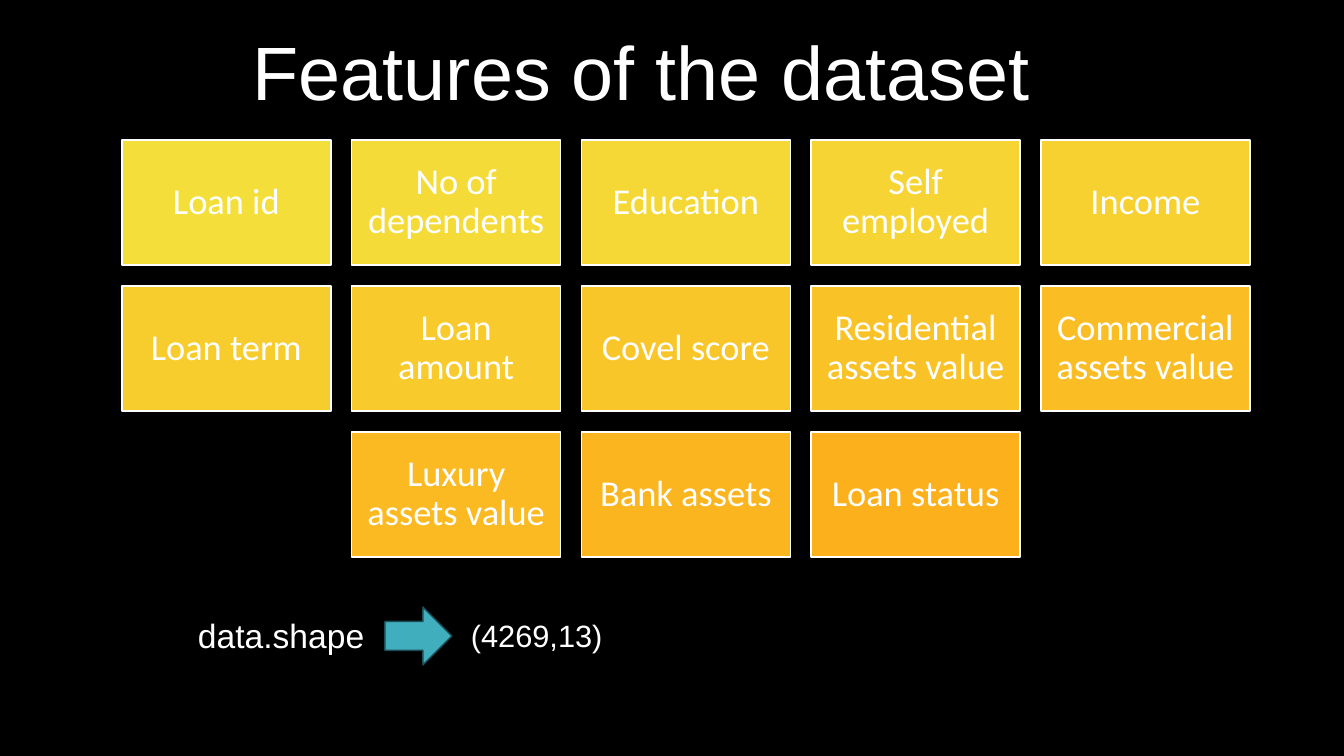
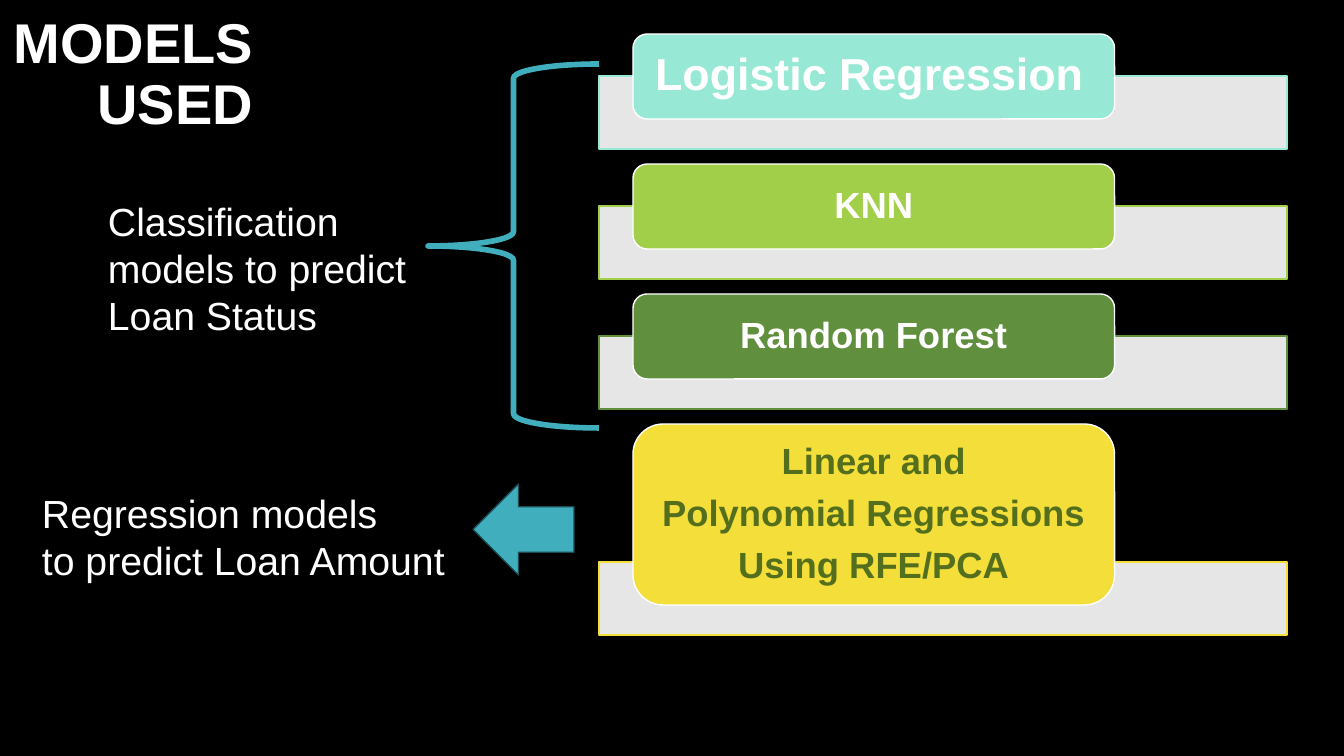
import colorsys
from dataclasses import dataclass

import pptx
import pptx.dml.color
import pptx.enum.shapes
import pptx.enum.text
import pptx.util

SLIDE_W, SLIDE_H = 1344, 756
EMU_PER_PX = 12192000 / SLIDE_W
SHAPE = pptx.enum.shapes.MSO_SHAPE
ALIGN = pptx.enum.text.PP_ALIGN
ANCHOR = pptx.enum.text.MSO_ANCHOR


@dataclass(frozen=True)
class Theme:
    background: str = "000000"
    text: str = "FFFFFF"
    outline: str = "FFFFFF"
    accent: str = "41AEBD"
    accent_edge: str = "1C4C53"
    bar: str = "E6E6E6"
    tile_first: str = "F4DE3A"
    tile_last: str = "FCB11C"
    mint: str = "97E9D5"
    lime: str = "A2CF49"
    green: str = "608F3D"
    yellow: str = "F4DE3A"
    olive: str = "536F1D"
    font: str = "Arial"
    tile_font: str = "Calibri"
    title: int = 54
    side_title: int = 40
    lead_card: int = 32
    note: int = 28
    card: int = 26
    code: int = 24
    result: int = 22
    line: int = 1
    brace_line: int = 4


THEME = Theme()

FEATURES = [
    ["Loan id", "No of dependents", "Education", "Self employed", "Income"],
    ["Loan term", "Loan amount", "Covel score", "Residential assets value",
     "Commercial assets value"],
    ["Luxury assets value", "Bank assets", "Loan status"],
]

# text, card height, fill, text colour, size, alignment
MODELS = [
    ("Logistic Regression", 85, THEME.mint, THEME.text, THEME.lead_card, ALIGN.LEFT),
    ("KNN", 85, THEME.lime, THEME.text, THEME.card, ALIGN.CENTER),
    ("Random Forest", 85, THEME.green, THEME.text, THEME.card, ALIGN.CENTER),
    ("Linear and\nPolynomial Regressions\nUsing RFE/PCA", 181, THEME.yellow,
     THEME.olive, THEME.card, ALIGN.CENTER),
]


def px(n):
    return pptx.util.Emu(round(n * EMU_PER_PX))


def rgb(color):
    return pptx.dml.color.RGBColor.from_string(color)


def blend(first, last, t):
    """Mix two colours along their hue, saturation and value."""
    ends = [colorsys.rgb_to_hsv(*(v / 255 for v in rgb(c))) for c in (first, last)]
    mixed = colorsys.hsv_to_rgb(*(a + (b - a) * t for a, b in zip(*ends)))
    return "".join(f"{round(v * 255):02X}" for v in mixed)


def write(sp, text, size, color=THEME.text, font=THEME.font, bold=False,
          align=ALIGN.LEFT, anchor=ANCHOR.TOP, spacing=1.0, after=0, insets=(10, 5)):
    tf = sp.text_frame
    tf.word_wrap = True
    tf.vertical_anchor = anchor
    tf.margin_left = tf.margin_right = px(insets[0])
    tf.margin_top = tf.margin_bottom = px(insets[1])
    tf.text = text
    for p in tf.paragraphs:
        p.alignment = align
        p.line_spacing = spacing
        p.font.size = pptx.util.Pt(size)
        p.font.name = font
        p.font.bold = bold
        p.font.color.rgb = rgb(color)
    for p in tf.paragraphs[:-1]:
        p.space_after = pptx.util.Pt(after)


def add_text(slide, box, text, size, **style):
    sp = slide.shapes.add_textbox(*map(px, box))
    write(sp, text, size, **style)


def add_shape(slide, kind, box, fill, line, width=THEME.line):
    sp = slide.shapes.add_shape(kind, *map(px, box))
    sp.shadow.inherit = False
    if fill:
        sp.fill.solid()
        sp.fill.fore_color.rgb = rgb(fill)
    else:
        sp.fill.background()
    sp.line.color.rgb = rgb(line)
    sp.line.width = pptx.util.Pt(width)
    return sp


def add_arrow(slide, kind, box):
    add_shape(slide, kind, box, THEME.accent, THEME.accent_edge)


def add_feature_grid(slide, box):
    """Rows of equal tiles; a shorter row is centred."""
    left, top, width, height = box
    tile_w, tile_h = 209, 125
    columns = max(map(len, FEATURES))
    step_x = (width - tile_w) / (columns - 1)
    step_y = (height - tile_h) / (len(FEATURES) - 1)
    last = sum(map(len, FEATURES)) - 1
    index = 0
    for row, names in enumerate(FEATURES):
        indent = (columns - len(names)) / 2
        for col, name in enumerate(names):
            tile = (left + (indent + col) * step_x, top + row * step_y, tile_w, tile_h)
            fill = blend(THEME.tile_first, THEME.tile_last, index / last)
            sp = add_shape(slide, SHAPE.RECTANGLE, tile, fill, THEME.outline)
            write(sp, name, THEME.card, font=THEME.tile_font, align=ALIGN.CENTER,
                  anchor=ANCHOR.MIDDLE, spacing=0.9, insets=(11, 11))
            index += 1


def add_shape_result(slide, box):
    """The call, an arrow and its result, side by side."""
    left, top, width, height = box
    add_text(slide, (left, top + 3, 188, 50), "data.shape", THEME.code)
    add_arrow(slide, SHAPE.RIGHT_ARROW, (left + 197, top, 67, height))
    add_text(slide, (left + 273, top + 5, width - 273, 47), "(4269,13)", THEME.result)


def add_model_list(slide, box):
    """Cards stacked from the top, each resting on a wide bar."""
    left, top, width = box
    bar_h, overlap, gap = 73, 43, 15
    for text, card_h, fill, color, size, align in MODELS:
        bar_top = top + card_h - overlap
        add_shape(slide, SHAPE.RECTANGLE, (left, bar_top, width, bar_h), THEME.bar, fill)
        card = add_shape(slide, SHAPE.ROUNDED_RECTANGLE,
                         (left + 34, top, width * 0.7, card_h), fill, THEME.outline)
        write(card, text, size, color=color, bold=True, align=align,
              anchor=ANCHOR.MIDDLE, spacing=0.9, after=9, insets=(18, 0))
        top = bar_top + bar_h + gap


def add_model_notes(slide, box):
    """Explanations with the brace and arrow that tie them to the models."""
    left, top, width, height = box
    add_text(slide, (left + 66, top + 128, 351, 152),
             "Classification models to predict Loan Status", THEME.note)
    add_shape(slide, SHAPE.LEFT_BRACE, (left + width - 171, top, 171, 364),
              None, THEME.accent, THEME.brace_line)
    add_text(slide, (left, top + height - 91, 440, 105),
             "Regression models\nto predict Loan Amount", THEME.note)
    add_arrow(slide, SHAPE.LEFT_ARROW, (left + width - 126, top + height - 91, 101, 91))


def build_features(slide):
    add_text(slide, (101, 3, 1081, 146), "Features of the dataset", THEME.title,
             align=ALIGN.CENTER, anchor=ANCHOR.MIDDLE, spacing=0.9)
    add_feature_grid(slide, (122, 140, 1128, 417))
    add_shape_result(slide, (188, 607, 433, 58))


def build_models(slide):
    add_text(slide, (0, 10, 253, 132), "MODELS USED", THEME.side_title, bold=True,
             align=ALIGN.RIGHT, anchor=ANCHOR.MIDDLE, spacing=0.9, insets=(0, 5))
    add_model_list(slide, (599, 34, 688))
    add_model_notes(slide, (32, 64, 567, 511))


def main():
    prs = pptx.Presentation()
    prs.slide_width, prs.slide_height = px(SLIDE_W), px(SLIDE_H)
    backdrop = prs.slide_master.background.fill
    backdrop.solid()
    backdrop.fore_color.rgb = rgb(THEME.background)
    for build in (build_features, build_models):
        build(prs.slides.add_slide(prs.slide_layouts[6]))
    prs.save("out.pptx")


if __name__ == "__main__":
    main()
